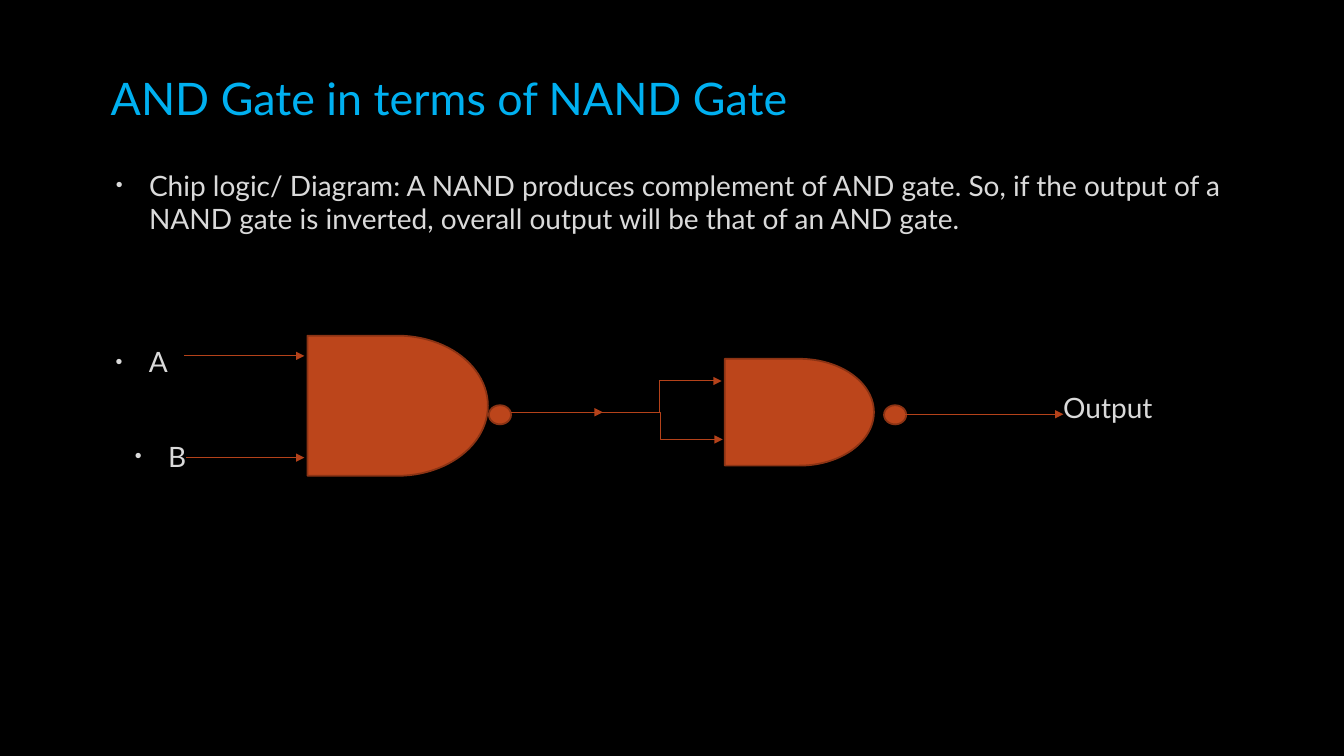
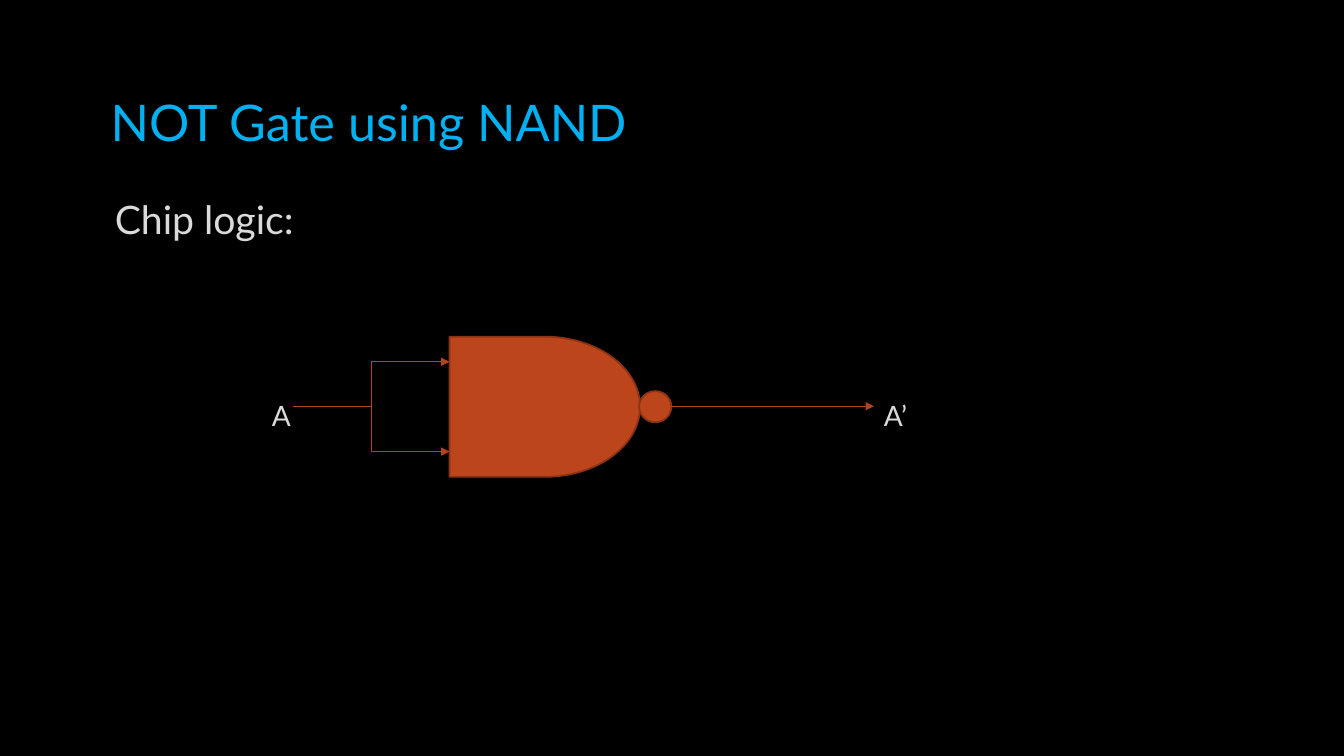
from lxml.etree import SubElement
from pptx import Presentation
from pptx.dml.color import RGBColor
from pptx.enum.shapes import MSO_CONNECTOR as LINK, MSO_SHAPE as SHAPE
from pptx.enum.text import MSO_ANCHOR as ANCHOR
from pptx.oxml.ns import qn
from pptx.util import Emu, Inches, Pt

BLACK = RGBColor(0x00, 0x00, 0x00)
TITLE_BLUE = RGBColor(0x00, 0xB0, 0xF0)
TEXT_GREY = RGBColor(0xDA, 0xDA, 0xDA)
GATE_FILL = RGBColor(0xBC, 0x45, 0x1B)
GATE_EDGE = RGBColor(0x8B, 0x33, 0x14)
WIRE = RGBColor(0xB4, 0x42, 0x1A)
FONT = "Lato"
LEFT, WIDTH = 1, 11.32
HANG, BULLET_BACK = 0.38, 0.33

SLIDES = [
    {
        "title": ("AND Gate in terms of NAND Gate", 32, 0.53, 0.88),
        "texts": [
            ("Chip logic/ Diagram: A NAND produces complement of AND gate. "
             "So, if the output of a NAND gate is inverted, overall output "
             "will be that of an AND gate.", 20, (LEFT, 1.62, WIDTH, 0.8), True),
            ("A", 20, (LEFT, 3.37, 0.8, 0.43), True),
            ("B", 20, (1.19, 4.31, 0.8, 0.43), True),
            ("Output", 20, (10.45, 3.83, 1.3, 0.43), False),
        ],
        "gates": [(3.05, 3.33, 1.79, 1.39), (7.19, 3.56, 1.48, 1.06)],
        "bubbles": [(4.85, 4.02, 0.22, 0.19), (8.77, 4.02, 0.22, 0.19)],
        "wires": [
            (1.83, 3.53, 3.02, 3.53),
            (1.85, 4.54, 3.02, 4.54),
            (5.07, 4.09, 5.98, 4.09),
            (5.93, 4.09, 7.16, 3.78),
            (5.94, 4.09, 7.17, 4.36),
            (8.98, 4.11, 10.55, 4.11),
        ],
    },
    {
        "title": ("NOT Gate using NAND", 36, 0.67, 1.06),
        "texts": [
            ("Chip logic:", 28, (1.04, 1.89, WIDTH, 0.6), False),
            ("A", 20, (2.6, 3.9, 0.5, 0.43), False),
            ("A’", 20, (8.67, 3.9, 0.6, 0.43), False),
        ],
        "gates": [(4.46, 3.34, 1.89, 1.39)],
        "bubbles": [(6.34, 3.88, 0.32, 0.31)],
        "wires": [
            (2.91, 4.03, 4.46, 4.48),
            (2.91, 4.03, 4.46, 3.59),
            (6.66, 4.03, 8.67, 4.03),
        ],
    },
]


def inches(values):
    return [Inches(value) for value in values]


def add_bullet(paragraph):
    props = paragraph._p.get_or_add_pPr()
    props.set("marL", str(Inches(HANG)))
    props.set("indent", str(-Inches(BULLET_BACK)))
    tint = SubElement(props, qn("a:buClr"))
    SubElement(tint, qn("a:srgbClr"), val=str(TEXT_GREY))
    SubElement(props, qn("a:buSzPct"), val="70000")
    SubElement(props, qn("a:buFont"), typeface="Arial")
    SubElement(props, qn("a:buChar"), char="•")


def add_text(slide, words, size, box, bulleted=False, color=TEXT_GREY, anchor=ANCHOR.TOP):
    frame = slide.shapes.add_textbox(*inches(box)).text_frame
    frame.word_wrap = True
    frame.vertical_anchor = anchor
    paragraph = frame.paragraphs[0]
    if bulleted:
        add_bullet(paragraph)
    run = paragraph.add_run()
    run.text = words
    run.font.name = FONT
    run.font.size = Pt(size)
    run.font.color.rgb = color


def add_part(slide, outline, box):
    part = slide.shapes.add_shape(outline, *inches(box))
    part.shadow.inherit = False
    part.fill.solid()
    part.fill.fore_color.rgb = GATE_FILL
    part.line.color.rgb = GATE_EDGE
    part.line.width = Pt(1.25)


def add_wire(slide, ends):
    route = LINK.STRAIGHT if ends[1] == ends[3] else LINK.ELBOW
    wire = slide.shapes.add_connector(route, *inches(ends))
    wire.line.color.rgb = WIRE
    wire.line.width = Pt(0.75)
    SubElement(wire.line._get_or_add_ln(), qn("a:tailEnd"), type="triangle")
    SubElement(wire._element.spPr, qn("a:effectLst"))


def build_slide(deck, content):
    slide = deck.slides.add_slide(deck.slide_layouts[6])
    title, size, top, height = content["title"]
    add_text(slide, title, size, (LEFT, top, WIDTH, height),
             color=TITLE_BLUE, anchor=ANCHOR.MIDDLE)
    for words, size, box, bulleted in content["texts"]:
        add_text(slide, words, size, box, bulleted)
    for box in content["gates"]:
        add_part(slide, SHAPE.FLOWCHART_DELAY, box)
    for box in content["bubbles"]:
        add_part(slide, SHAPE.FLOWCHART_CONNECTOR, box)
    for ends in content["wires"]:
        add_wire(slide, ends)


def main():
    deck = Presentation()
    deck.slide_width, deck.slide_height = Emu(12192000), Inches(7.5)
    backdrop = deck.slide_master.background.fill
    backdrop.solid()
    backdrop.fore_color.rgb = BLACK
    for content in SLIDES:
        build_slide(deck, content)
    deck.save("out.pptx")


if __name__ == "__main__":
    main()
